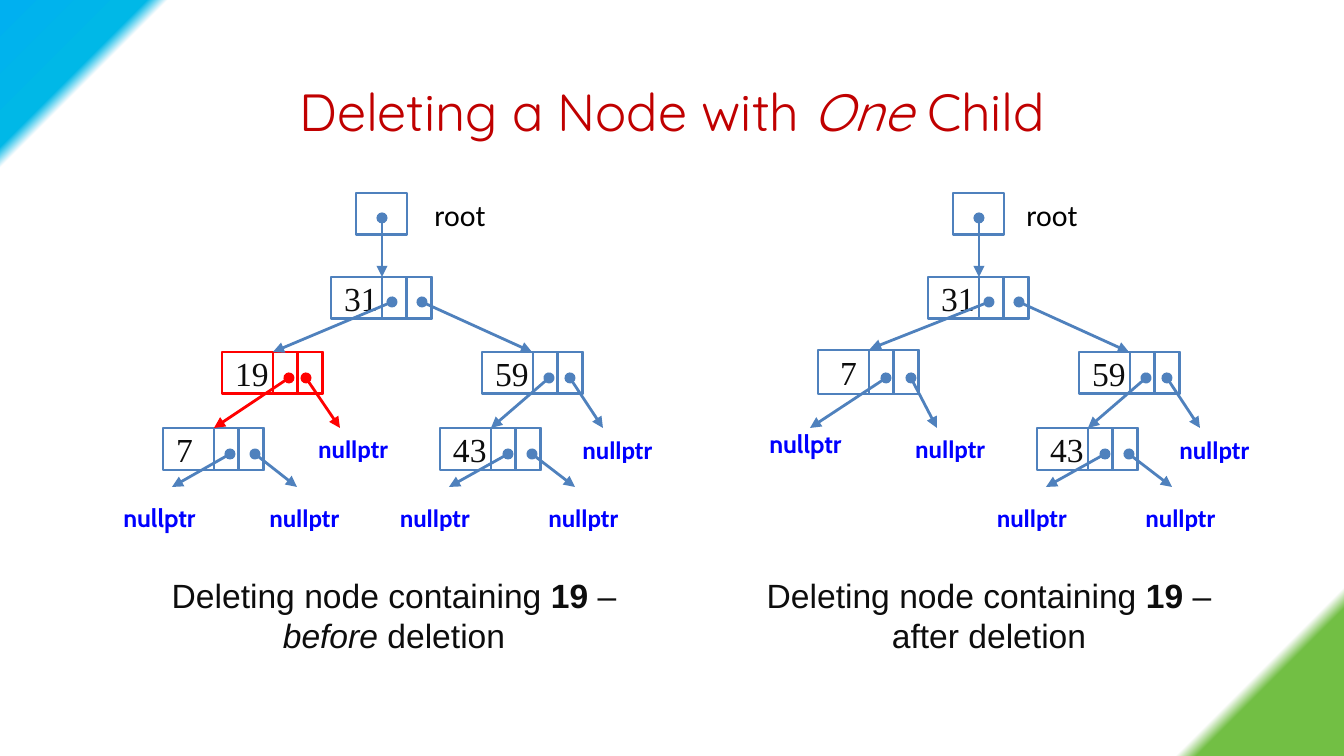
"""Build a slide that shows deleting a binary search tree node with one child."""
from lxml import etree
from pptx import Presentation
from pptx import util as u
from pptx.dml.color import RGBColor
from pptx.enum import shapes, text
from pptx.oxml import ns

PX = 9144000 / 1344
THEME = {
    "title": ("C00000", {"name": "Quicksand", "size": u.Pt(28)}),
    "caption": ("0D0D0D", {"name": "Arial", "size": u.Pt(18)}),
    "value": ("0D0D0D", {"name": "Times New Roman", "size": u.Pt(18)}),
    "root": ("000000", {"name": "Calibri", "size": u.Pt(16)}),
    "null": ("0000FF", {"name": "Calibri", "size": u.Pt(13.5), "bold": True}),
    "null_cabin": ("0000FF", {"name": "Cabin", "size": u.Pt(13.5), "bold": True}),
    "blue": RGBColor.from_string("4F81BD"),
    "red": RGBColor.from_string("FF0000"),
    "line": u.Pt(1.5),
    "stops": [(0, "00B0F0"), (7, "00B8E7"), (8, "FFFFFF"), (92, "FFFFFF"), (93, "72BF44")],
}
LEFT, CENTER = text.PP_ALIGN.LEFT, text.PP_ALIGN.CENTER
TOP, MIDDLE = text.MSO_ANCHOR.TOP, text.MSO_ANCHOR.MIDDLE


def at(*lengths):
    return [round(n * PX) for n in lengths]


def write(tf, runs, style, align=CENTER, anchor=TOP, wrap=True):
    color, fmt = THEME[style]
    frame = {"auto_size": text.MSO_AUTO_SIZE.NONE, "word_wrap": wrap, "vertical_anchor": anchor}
    for key, value in frame.items():
        setattr(tf, key, value)
    p = tf.paragraphs[0]
    p.alignment, p.space_before = align, u.Pt(0)
    for words, extra in runs:
        r = p.add_run()
        r.text = words
        for key, value in {**fmt, **extra}.items():
            setattr(r.font, key, value)
        r.font.color.rgb = RGBColor.from_string(color)


prs = Presentation()
prs.slide_width, prs.slide_height = at(1344, 756)
s = prs.slides.add_slide(prs.slide_layouts[3])

fill = s.background.fill
fill.gradient()
fill.gradient_angle = 315
stop_list = s.background._cSld.find(".//" + ns.qn("a:gsLst"))
for stop in list(stop_list):
    stop_list.remove(stop)
for position, color in THEME["stops"]:
    stop = etree.SubElement(stop_list, ns.qn("a:gs"), pos=str(position * 1000))
    etree.SubElement(stop, ns.qn("a:srgbClr"), val=color)

title, before, after = s.placeholders
title.left, title.top, title.width, title.height = at(39, 56, 1266, 109)
write(title.text_frame,
      [("Deleting a Node with ", {}), ("One", {"italic": True}), (" Child", {})],
      "title", anchor=MIDDLE)

captions = [
    (before, 140, [(" – ", {}), ("before", {"italic": True}), (" deletion", {})]),
    (after, 735, [(" – after deletion", {})]),
]
for sp, x, ending in captions:
    sp.left, sp.top, sp.width, sp.height = at(x, 568, 508, 96)
    pPr = sp.text_frame.paragraphs[0]._p.get_or_add_pPr()
    pPr.set("marL", "0")
    pPr.set("indent", "0")
    etree.SubElement(pPr, ns.qn("a:buNone"))
    write(sp.text_frame,
          [("Deleting node containing ", {}), ("19", {"bold": True})] + ending, "caption")

TREE_STEP = 597
nodes = [
    (222, 352, 42, "19", "red", 13),
    (163, 428, 42, "7", "blue", 13),
    (818, 350, 44, "7", "blue", 22),
]
arrows = [
    (392, 302, 273, 352, "blue"),
    (289, 378, 214, 428, "red"),
    (306, 378, 340, 428, "red"),
    (230, 454, 172, 487, "blue"),
    (255, 454, 297, 487, "blue"),
    (989, 302, 870, 349, "blue"),
    (886, 378, 810, 428, "blue"),
    (911, 378, 937, 428, "blue"),
]
null_labels = [
    (109, 496, 101, "null_cabin", CENTER),
    (255, 496, 99, "null", CENTER),
    (755, 422, 101, "null_cabin", CENTER),
]
boxes = []
for dx in (0, TREE_STEP):
    boxes.append((356 + dx, 193, 51, 42, "", "blue", 13))
    for x, y, value in [(331, 277, "31"), (482, 352, "59"), (440, 428, "43")]:
        nodes.append((x + dx, y, 42, value, "blue", 13))
    for x1, y1, x2, y2 in [(382, 218, 382, 277), (422, 302, 532, 352),
                           (549, 378, 491, 428), (570, 378, 603, 428),
                           (508, 454, 449, 487), (532, 454, 575, 487)]:
        arrows.append((x1 + dx, y1, x2 + dx, y2, "blue"))
    for x, y, w, align in [(566, 428, 103, CENTER), (382, 496, 106, CENTER),
                           (532, 496, 103, CENTER), (305, 427, 106, LEFT)]:
        null_labels.append((x + dx, y, w, "null", align))

for x, y, h, value, color, inset in nodes:
    boxes.append((x, y, 101, h, value, color, inset))
    for offset in (76, 51):
        boxes.append((x + offset, y, 25, h, "", color, 13))

for x, y, w, h, value, color, inset in boxes:
    sp = s.shapes.add_shape(shapes.MSO_SHAPE.RECTANGLE, *at(x, y, w, h))
    sp.shadow.inherit = False
    sp.fill.background()
    sp.line.color.rgb, sp.line.width = THEME[color], THEME["line"]
    if value:
        sp.text_frame.margin_left = at(inset)[0]
        write(sp.text_frame, [(value, {})], "value", LEFT, MIDDLE, False)

for x1, y1, x2, y2, color in arrows:
    line = s.shapes.add_connector(shapes.MSO_CONNECTOR.STRAIGHT, *at(x1, y1, x2, y2))
    line.line.color.rgb, line.line.width = THEME[color], THEME["line"]
    ln = line.line._get_or_add_ln()
    for end, kind in [("a:headEnd", "oval"), ("a:tailEnd", "triangle")]:
        etree.SubElement(ln, ns.qn(end), type=kind)
    etree.SubElement(line._element.spPr, ns.qn("a:effectLst"))

for x, y, w, style, align in null_labels:
    tf = s.shapes.add_textbox(*at(x, y, w, 44)).text_frame
    write(tf, [("nullptr", {})], style, align, wrap=False)

for x in (413, 1005):
    tf = s.shapes.add_textbox(*at(x, 198, 94, 34)).text_frame
    write(tf, [("root", {})], "root", anchor=MIDDLE)

prs.save("out.pptx")
